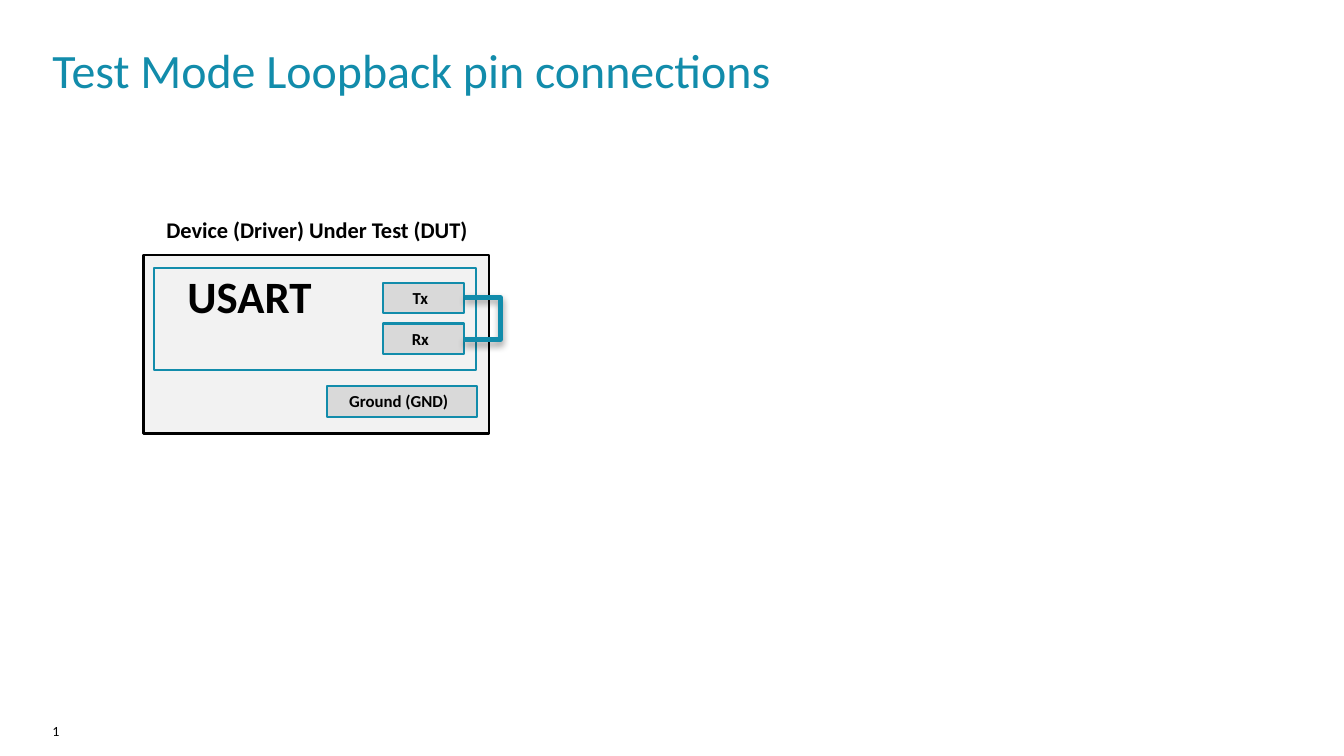
from dataclasses import dataclass
from typing import Optional

from lxml import etree
from pptx import Presentation, util as u
from pptx.dml.color import RGBColor
from pptx.enum import shapes, text
from pptx.oxml import parse_xml
from pptx.oxml.ns import nsdecls, qn

PX = 9144  # EMU, 100 px to the inch
FONT = "Calibri"
TEAL = RGBColor(0x12, 0x8C, 0xAB)
BLACK = RGBColor(0, 0, 0)
PALE = RGBColor(0xF2, 0xF2, 0xF2)
GREY = RGBColor(0xD9, 0xD9, 0xD9)

RECT = shapes.MSO_SHAPE.RECTANGLE
ROUND = shapes.MSO_SHAPE.ROUNDED_RECTANGLE
TOP = text.MSO_ANCHOR.TOP
MIDDLE = text.MSO_ANCHOR.MIDDLE
LEFT = text.PP_ALIGN.LEFT
CENTER = text.PP_ALIGN.CENTER
PLAIN_INSETS = (10, 5, 10, 5)
PIN_INSETS = (10, 5, 16, 5)


@dataclass
class Block:
    at: tuple[int, int, int, int]
    label: str = ""
    size: float = 12
    kind: int = RECT
    fill: Optional[RGBColor] = None
    line: Optional[RGBColor] = None
    weight: float = 1.5
    insets: tuple[int, int, int, int] = PLAIN_INSETS
    anchor: int = MIDDLE


def px(length: int) -> u.Emu:
    return u.Emu(length * PX)


def place(shape, at: tuple[int, int, int, int]) -> None:
    for side, length in zip(("left", "top", "width", "height"), at):
        setattr(shape, side, px(length))


def write(shape, words: str, size: float, color: RGBColor, bold: bool,
          align: int, anchor: int, insets: tuple[int, int, int, int]) -> None:
    frame = shape.text_frame
    margins = dict(zip(("margin_left", "margin_top", "margin_right", "margin_bottom"),
                       map(px, insets)))
    settings = {"word_wrap": True, "auto_size": text.MSO_AUTO_SIZE.NONE,
                "vertical_anchor": anchor, **margins}
    for name, value in settings.items():
        setattr(frame, name, value)
    para = frame.paragraphs[0]
    para.alignment = align
    span = para.add_run()
    span.text = words
    for name, value in {"name": FONT, "size": u.Pt(size), "bold": bold}.items():
        setattr(span.font, name, value)
    span.font.color.rgb = color


def draw_block(page, block: Block) -> None:
    shape = page.shapes.add_shape(block.kind, *map(px, block.at))
    shape.shadow.inherit = False
    if block.fill is None:
        shape.fill.background()
    else:
        shape.fill.solid()
        shape.fill.fore_color.rgb = block.fill
    if block.line is None:
        shape.line.fill.background()
    else:
        shape.line.color.rgb = block.line
        shape.line.width = u.Pt(block.weight)
    if block.label:
        write(shape, block.label, block.size, BLACK, True, CENTER,
              block.anchor, block.insets)


def draw_loopback(page, start: tuple[int, int], end: tuple[int, int], reach: int) -> None:
    """Elbow wire that runs out `reach` px to the right before it turns back."""
    wire = page.shapes.add_connector(shapes.MSO_CONNECTOR.ELBOW, *map(px, start + end))
    wire.line.color.rgb = TEAL
    wire.line.width = u.Pt(3.35)
    properties = wire._element.spPr
    bend = reach * 100000 // (end[0] - start[0])
    guides = properties.find(qn("a:prstGeom")).get_or_add_avLst()
    etree.SubElement(guides, qn("a:gd"), name="adj1", fmla=f"val {bend}")
    properties.append(parse_xml(
        f'<a:effectLst {nsdecls("a")}>'
        f'<a:outerShdw blurRad="{u.Pt(5.2)}" dist="{u.Pt(3)}" dir="5400000" rotWithShape="0">'
        '<a:srgbClr val="000000"><a:alpha val="40000"/></a:srgbClr>'
        '</a:outerShdw></a:effectLst>'))


def pin(label: str, at: tuple[int, int, int, int]) -> Block:
    return Block(at, label, fill=GREY, line=TEAL, insets=PIN_INSETS, anchor=TOP)


BLOCKS = [
    Block((113, 204, 403, 47), "Device (Driver) Under Test (DUT)", 16, ROUND),
    Block((142, 253, 343, 177), fill=PALE, line=BLACK, weight=2),
    pin("Ground (GND)", (324, 383, 149, 31)),
    Block((153, 268, 189, 51), "USART", 32, ROUND),
    Block((153, 266, 319, 101), line=TEAL),
    pin("Rx", (380, 321, 80, 30)),
    pin("Tx", (380, 281, 80, 30)),
]


def main() -> None:
    deck = Presentation()
    deck.slide_width, deck.slide_height = px(1333), px(750)
    page = deck.slides.add_slide(deck.slide_layouts[5])

    # Title and page number
    title = page.shapes.title
    place(title, (52, 37, 1220, 63))
    write(title, "Test Mode Loopback pin connections", 34.2, TEAL, False,
          LEFT, MIDDLE, (0, 0, 0, 0))
    number = page.shapes.add_textbox(*map(px, (52, 717, 143, 26)))
    write(number, "1", 10, BLACK, False, LEFT, TOP, (0, 0, 10, 0))

    # Device with its pins
    for block in BLOCKS:
        draw_block(page, block)

    # Wire from Rx back to Tx
    draw_loopback(page, (460, 337), (461, 295), 37)

    deck.save("out.pptx")


if __name__ == "__main__":
    main()
